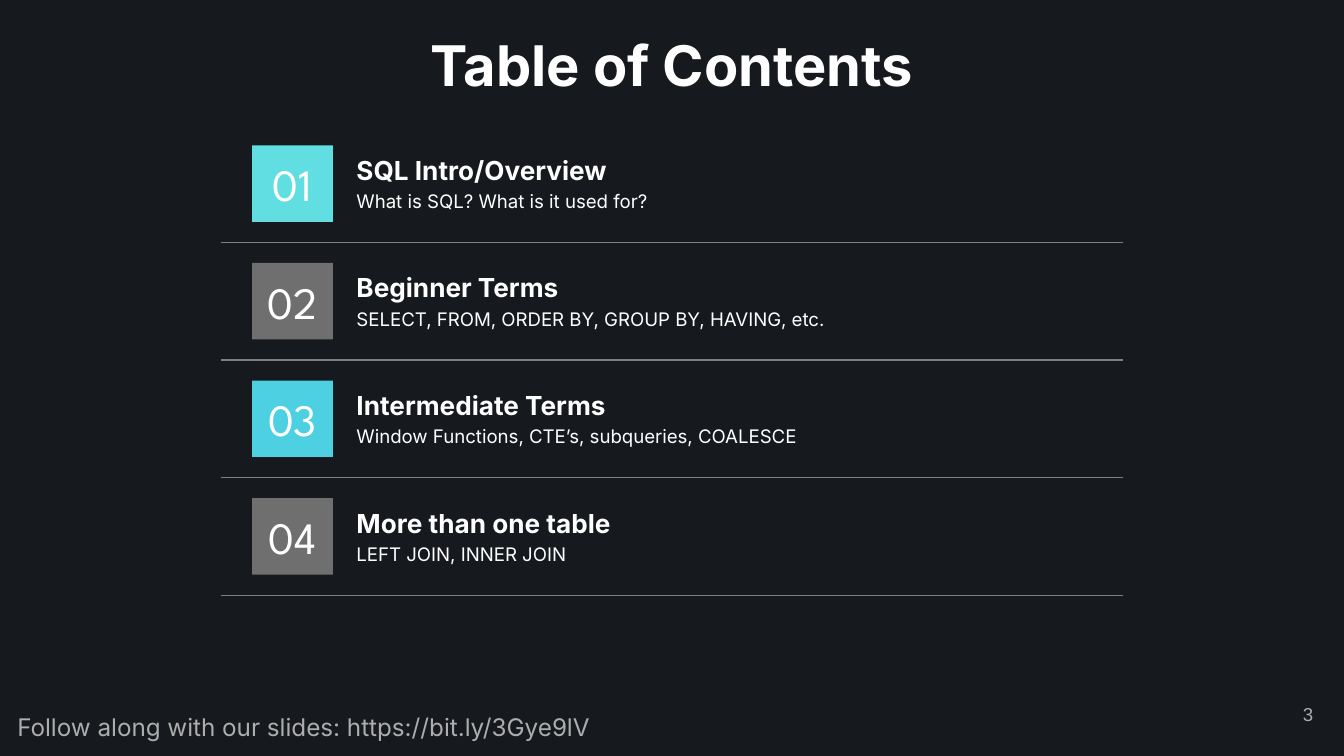
from lxml import etree
from pptx import Presentation
from pptx.dml.color import RGBColor
from pptx.enum import shapes, text
from pptx.oxml import ns
from pptx.util import Pt

WHITE, MUTED, RULE, BACKGROUND = "FFFFFF", "ADADAD", "7F7F7F", "16191E"
LEFT, CENTER, RIGHT = text.PP_ALIGN.LEFT, text.PP_ALIGN.CENTER, text.PP_ALIGN.RIGHT
TOP, MIDDLE = text.MSO_ANCHOR.TOP, text.MSO_ANCHOR.MIDDLE


def color(hex_code):
    return RGBColor.from_string(hex_code)


class Deck:
    """Holds the body font and the current slide."""

    def __init__(self, width, height, font="Inter"):
        self.prs = Presentation()
        self.prs.slide_width, self.prs.slide_height = Pt(width), Pt(height)
        self.font = font
        self.slide = self.prs.slides.add_slide(self.prs.slide_layouts[5])
        fill = self.slide.background.fill
        fill.solid()
        fill.fore_color.rgb = color(BACKGROUND)

    def set_words(self, shape, words, size, tint=WHITE, bold=False, font=None,
                  align=LEFT, anchor=TOP, insets=(0, 0)):
        frame = shape.text_frame
        frame.word_wrap = True
        frame.auto_size = text.MSO_AUTO_SIZE.NONE
        frame.vertical_anchor = anchor
        frame.margin_left = frame.margin_right = Pt(insets[0])
        frame.margin_top = frame.margin_bottom = Pt(insets[1])
        paragraph = frame.paragraphs[0]
        paragraph.alignment = align
        run = paragraph.add_run()
        run.text = words
        run.font.name = font or self.font
        run.font.size, run.font.bold = Pt(size), bold
        run.font.color.rgb = color(tint)

    def title(self, words, x, y, w, h, size):
        heading = self.slide.shapes.title
        heading.left, heading.top, heading.width, heading.height = map(Pt, (x, y, w, h))
        self.set_words(heading, words, size, bold=True, align=CENTER, insets=(7.2, 7.2))

    def label(self, words, x, y, w, h, size, parent=None, **style):
        box = (parent or self.slide).shapes.add_textbox(*map(Pt, (x, y, w, h)))
        self.set_words(box, words, size, **style)

    def badge(self, words, x, y, w, h, fill):
        square = self.slide.shapes.add_shape(
            shapes.MSO_SHAPE.RECTANGLE, *map(Pt, (x, y, w, h)))
        square.shadow.inherit = False
        square.fill.solid()
        square.fill.fore_color.rgb = color(fill)
        square.line.fill.background()
        self.set_words(square, words, 24, font="League Spartan", align=CENTER,
                       anchor=MIDDLE, insets=(7.2, 3.6))

    def rule(self, x1, x2, y):
        line = self.slide.shapes.add_connector(
            shapes.MSO_CONNECTOR.STRAIGHT, *map(Pt, (x1, y, x2, y)))
        line.line.color.rgb = color(RULE)
        line.line.width = Pt(0.75)
        etree.SubElement(line._element.spPr, ns.qn("a:effectLst"))

    def group(self):
        return self.slide.shapes.add_group_shape()


CHAPTERS = [
    ("SQL Intro/Overview", "What is SQL? What is it used for?", "61DEE2"),
    ("Beginner Terms", "SELECT, FROM, ORDER BY, GROUP BY, HAVING, etc.", "6F6F6F"),
    ("Intermediate Terms", "Window Functions, CTE’s, subqueries, COALESCE", "4DD0E1"),
    ("More than one table", "LEFT JOIN, INNER JOIN", "6F6F6F"),
]
FIRST_ROW, ROW_PITCH = 77.9, 63


def main():
    deck = Deck(720, 405)
    deck.title("Table of Contents", 0, 9.4, 720, 46.8, 30)

    # Chapters: numbered badge, heading with topics, dividing rule
    for number, (chapter, topics, fill) in enumerate(CHAPTERS, start=1):
        top = FIRST_ROW + (number - 1) * ROW_PITCH
        deck.badge(f"{number:02}", 135, top, 43.4, 41, fill)
        entry = deck.group()
        deck.label(chapter, 191, top + 4.7, 492.5, 21.6, 14, parent=entry, bold=True)
        deck.label(topics, 191, top + 23.8, 492.5, 17.3, 10, parent=entry)
        deck.rule(118.2, 601.8, top + 52)

    # Footer: page number and link to the slides
    deck.label("3", 667.4, 367.2, 43.2, 31, 10, tint=MUTED, font="Arial",
               align=RIGHT, anchor=MIDDLE, insets=(7.2, 7.2))
    deck.label("Follow along with our slides: https://bit.ly/3Gye9lV",
               2.2, 374.4, 374.4, 30.2, 13, tint=MUTED, insets=(7.2, 7.2))

    deck.prs.save("out.pptx")


if __name__ == "__main__":
    main()
